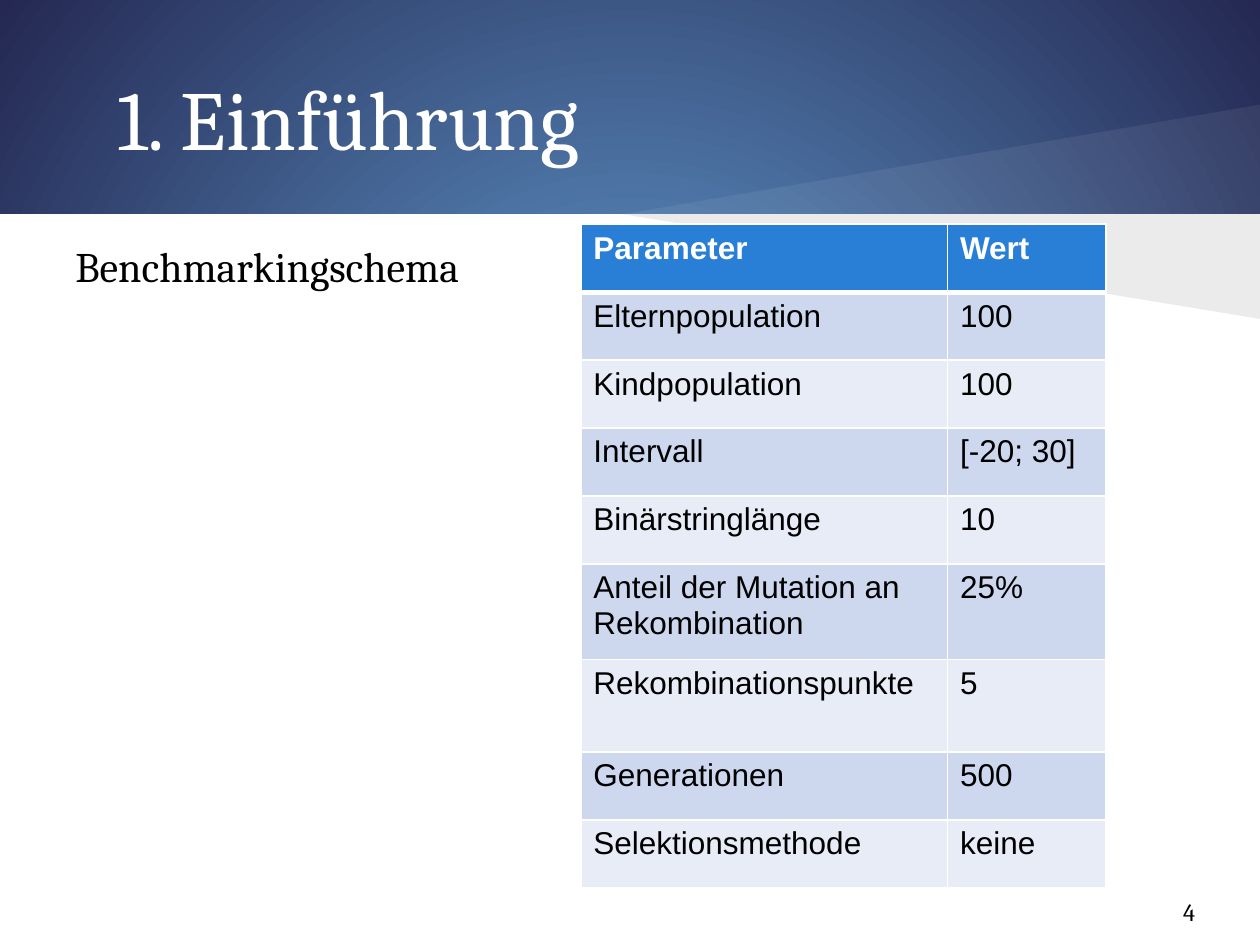
from dataclasses import dataclass, field

from lxml import etree
from pptx import Presentation
from pptx.dml.color import RGBColor
from pptx.enum.shapes import MSO_SHAPE
from pptx.enum.text import MSO_ANCHOR
from pptx.oxml import parse_xml
from pptx.oxml.ns import nsdecls, qn
from pptx.util import Cm, Pt

RECT = MSO_SHAPE.RECTANGLE
TOP, MIDDLE = MSO_ANCHOR.TOP, MSO_ANCHOR.MIDDLE


@dataclass(frozen=True)
class Theme:
    white: str = "FFFFFF"
    black: str = "000000"
    glow: str = "629DD1"
    night: str = "242852"
    head: str = "297FD5"
    bands: tuple = ("E8ECF7", "CDD8EF")
    serif: str = "Cambria"
    sans: str = "Arial"
    title: int = 48
    body: int = 24
    cell: int = 18
    page: int = 14


@dataclass(frozen=True)
class Label:
    text: str
    box: tuple
    size: int
    color: str
    pad: float = 0.25
    anchor: MSO_ANCHOR = TOP
    indent: float = 0
    form: dict = field(default_factory=dict)


@dataclass(frozen=True)
class Beam:
    tip: tuple
    ends: tuple
    color: str
    alpha: int


THEME = Theme()
WIDE, HIGH, EDGE = 25.4, 19.05, 4.32
FOLD = (12.57, EDGE)

BEAMS = [
    Beam(FOLD, ((WIDE, 2.11), (WIDE, EDGE)), THEME.white, 7),
    Beam(FOLD, ((WIDE, 6.43), (WIDE, EDGE)), THEME.black, 8),
]
LABELS = [
    Label("4", (23.6, 17.96, 1.7, 0.86), THEME.page, THEME.black, pad=0.13),
    Label("1. Einführung", (1.27, 0.76, 22.86, 3.18), THEME.title,
          THEME.white, anchor=MIDDLE, indent=0.84),
    Label("Benchmarkingschema", (1.27, 4.45, 22.86, 4.17), THEME.body,
          THEME.black, form={"line_spacing": 1.15}),
]
ROWS = [
    ("Parameter", "Wert"),
    ("Elternpopulation", "100"),
    ("Kindpopulation", "100"),
    ("Intervall", "[-20; 30]"),
    ("Binärstringlänge", "10"),
    ("Anteil der Mutation an Rekombination", "25%"),
    ("Rekombinationspunkte", "5"),
    ("Generationen", "500"),
    ("Selektionsmethode", "keine"),
]
COLS = (7.39, 3.2)
ROW, TALL = 1.37, {5: 1.92, 6: 1.87}


def apply(item, form: dict) -> None:
    for name, value in form.items():
        setattr(item, name, value)


def style(font, face: str, size: int, color: str, bold: bool = False) -> None:
    apply(font, {"name": face, "size": Pt(size), "bold": bold})
    font.color.rgb = RGBColor.from_string(color)


def paint(shape, color: str) -> None:
    shape.shadow.inherit = False
    shape.fill.solid()
    shape.fill.fore_color.rgb = RGBColor.from_string(color)
    shape.line.fill.background()


def draw_back(slide) -> None:
    fill = slide.background.fill
    fill.gradient()
    for stop, color in zip(fill.gradient_stops, (THEME.glow, THEME.night)):
        stop.color.rgb = RGBColor.from_string(color)
    # A round glow takes the place of the linear one
    grad = next(slide.element.iter(qn("a:gradFill")))
    grad.replace(grad.find(qn("a:lin")), parse_xml(
        f'<a:path {nsdecls("a")} path="circle"><a:fillToRect '
        'l="50000" t="50000" r="50000" b="50000"/></a:path>'))


def draw_beam(slide, beam: Beam) -> None:
    tip, *ends = [(Cm(x), Cm(y)) for x, y in (beam.tip, *beam.ends)]
    pen = slide.shapes.build_freeform(*tip, scale=1.0)
    pen.add_line_segments(ends, close=True)
    shape = pen.convert_to_shape()
    paint(shape, beam.color)
    tint = shape.element.spPr.find(qn("a:solidFill"))[0]
    etree.SubElement(tint, qn("a:alpha"), val=str(beam.alpha * 1000))


def draw_label(slide, label: Label) -> None:
    frame = slide.shapes.add_textbox(*map(Cm, label.box)).text_frame
    apply(frame, {"word_wrap": True, "vertical_anchor": label.anchor,
                  "margin_top": Cm(label.pad), "margin_bottom": Cm(label.pad)})
    para = frame.paragraphs[0]
    apply(para, label.form)
    if label.indent:
        para._p.get_or_add_pPr().set("indent", str(Cm(label.indent)))
    run = para.add_run()
    run.text = label.text
    style(run.font, THEME.serif, label.size, label.color)


def rule_cell(cell, sides: dict) -> None:
    props = cell._tc.get_or_add_tcPr()
    for spot, (side, width) in enumerate(sides.items()):
        props.insert(spot, parse_xml(
            f'<a:ln{side} {nsdecls("a")} w="{Pt(width)}"><a:solidFill>'
            f'<a:srgbClr val="{THEME.white}"/></a:solidFill></a:ln{side}>'))


def draw_table(slide) -> None:
    highs = [TALL.get(row, ROW) for row in range(len(ROWS))]
    table = slide.shapes.add_table(
        len(ROWS), len(COLS), Cm(11.71), Cm(4.52),
        Cm(sum(COLS)), Cm(sum(highs))).table
    for col, width in zip(table.columns, COLS):
        col.width = Cm(width)
    for row, texts in enumerate(ROWS):
        table.rows[row].height = Cm(highs[row])
        head = row == 0
        for col, text in enumerate(texts):
            cell = table.cell(row, col)
            cell.text = text
            style(cell.text_frame.paragraphs[0].runs[0].font, THEME.sans,
                  THEME.cell, THEME.white if head else THEME.black, head)
            cell.fill.solid()
            cell.fill.fore_color.rgb = RGBColor.from_string(
                THEME.head if head else THEME.bands[row % 2])
            rule_cell(cell, {"L": 1, "R": 1, "T": 3 if row == 1 else 1,
                             "B": 3 if head else 1})


def main() -> None:
    deck = Presentation()
    apply(deck, {"slide_width": Cm(WIDE), "slide_height": Cm(HIGH)})
    slide = deck.slides.add_slide(deck.slide_layouts[6])

    # Backdrop: glow, white page and two light beams
    draw_back(slide)
    page = slide.shapes.add_shape(
        RECT, 0, Cm(EDGE), Cm(WIDE), Cm(HIGH - EDGE))
    paint(page, THEME.white)
    for beam in BEAMS:
        draw_beam(slide, beam)

    # Words and table
    for label in LABELS:
        draw_label(slide, label)
    draw_table(slide)
    deck.save("out.pptx")


if __name__ == "__main__":
    main()
